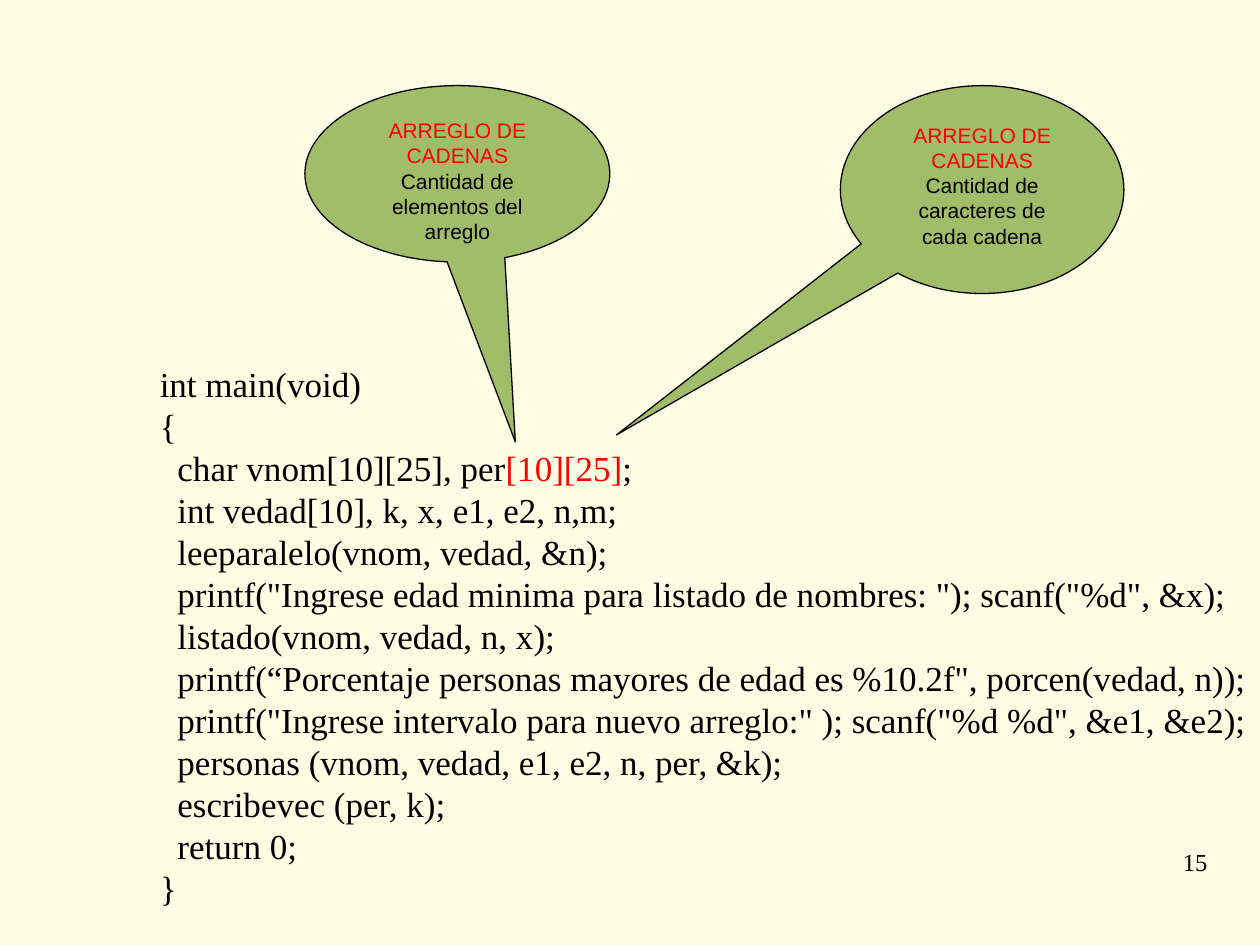
"""Slide explaining the dimensions of an array of strings in C."""
import pptx
import pptx.util
import pptx.dml.color
import pptx.enum.shapes
import pptx.enum.text

Inches, Pt = pptx.util.Inches, pptx.util.Pt
ALIGN = pptx.enum.text.PP_ALIGN
BLACK, RED, GREEN, CREAM = "000000", "FF0000", "A1BD69", "FEFDE3"
SERIF, SANS = "Times New Roman", "Arial"
INDENT = 0.14

DECLARATIONS = [
    (0, [("int main(void)", BLACK)]),
    (0, [("{", BLACK)]),
    (1, [("char vnom[10][25], per", BLACK), ("[10][25]", RED), (";", BLACK)]),
]
BODY = [
    "int vedad[10], k, x, e1, e2, n,m;",
    "leeparalelo(vnom, vedad, &n);",
    'printf("Ingrese edad minima para listado de nombres: "); scanf("%d", &x);',
    "listado(vnom, vedad, n, x);",
    'printf(“Porcentaje personas mayores de edad es %10.2f", porcen(vedad, n));',
    'printf("Ingrese intervalo para nuevo arreglo:" ); scanf("%d %d", &e1, &e2);',
    "personas (vnom, vedad, e1, e2, n, per, &k);",
    "escribevec (per, k);",
    "return 0;",
]
STATEMENTS = [(1, [(line, BLACK)]) for line in BODY] + [(0, [("}", BLACK)])]
PAGE = [(0, [("15", BLACK)])]
TEXTS = [
    ((7.6, 6.67, 2.08, 0.5), PAGE, 14, ALIGN.RIGHT),
    ((1.17, 3.83, 8.83, 3.43), STATEMENTS, 20, ALIGN.LEFT),
    ((1.17, 2.83, 4.3, 1.1), DECLARATIONS, 20, ALIGN.LEFT),
]
CALLOUTS = [
    ((2.42, 0.68, 2.42, 1.4), (0.19, 1.52), "Cantidad de elementos del arreglo"),
    ((6.67, 0.68, 2.25, 1.65), (-1.29, 1.18), "Cantidad de caracteres de cada cadena"),
]


def rgb(color):
    return pptx.dml.color.RGBColor.from_string(color)


def write(tf, lines, size, font, align):
    tf.word_wrap = True
    for i, (level, runs) in enumerate(lines):
        p = tf.add_paragraph() if i else tf.paragraphs[0]
        p.alignment = align
        if level:
            p._p.get_or_add_pPr().set("marL", str(Inches(level * INDENT)))
        for text, color in runs:
            r = p.add_run()
            r.text = text
            r.font.size, r.font.name = Pt(size), font
            r.font.color.rgb = rgb(color)


def add_callout(s, box, tip, note):
    kind = pptx.enum.shapes.MSO_SHAPE.OVAL_CALLOUT
    sp = s.shapes.add_shape(kind, *map(Inches, box))
    sp.shadow.inherit = False
    for i, value in enumerate(tip):
        sp.adjustments[i] = value
    sp.fill.solid()
    sp.fill.fore_color.rgb = rgb(GREEN)
    sp.line.color.rgb = rgb(BLACK)
    sp.line.width = Pt(0.75)
    sp.text_frame.vertical_anchor = pptx.enum.text.MSO_ANCHOR.TOP
    lines = [(0, [("ARREGLO DE CADENAS", RED)]), (0, [(note, BLACK)])]
    write(sp.text_frame, lines, 12, SANS, ALIGN.CENTER)


def main():
    prs = pptx.Presentation()
    prs.slide_width, prs.slide_height = Inches(10), Inches(7.5)
    s = prs.slides.add_slide(prs.slide_layouts[6])
    s.background.fill.solid()
    s.background.fill.fore_color.rgb = rgb(CREAM)
    for box, lines, size, align in TEXTS:
        sp = s.shapes.add_textbox(*map(Inches, box))
        write(sp.text_frame, lines, size, SERIF, align)
    for callout in CALLOUTS:
        add_callout(s, *callout)
    prs.save("out.pptx")


if __name__ == "__main__":
    main()
